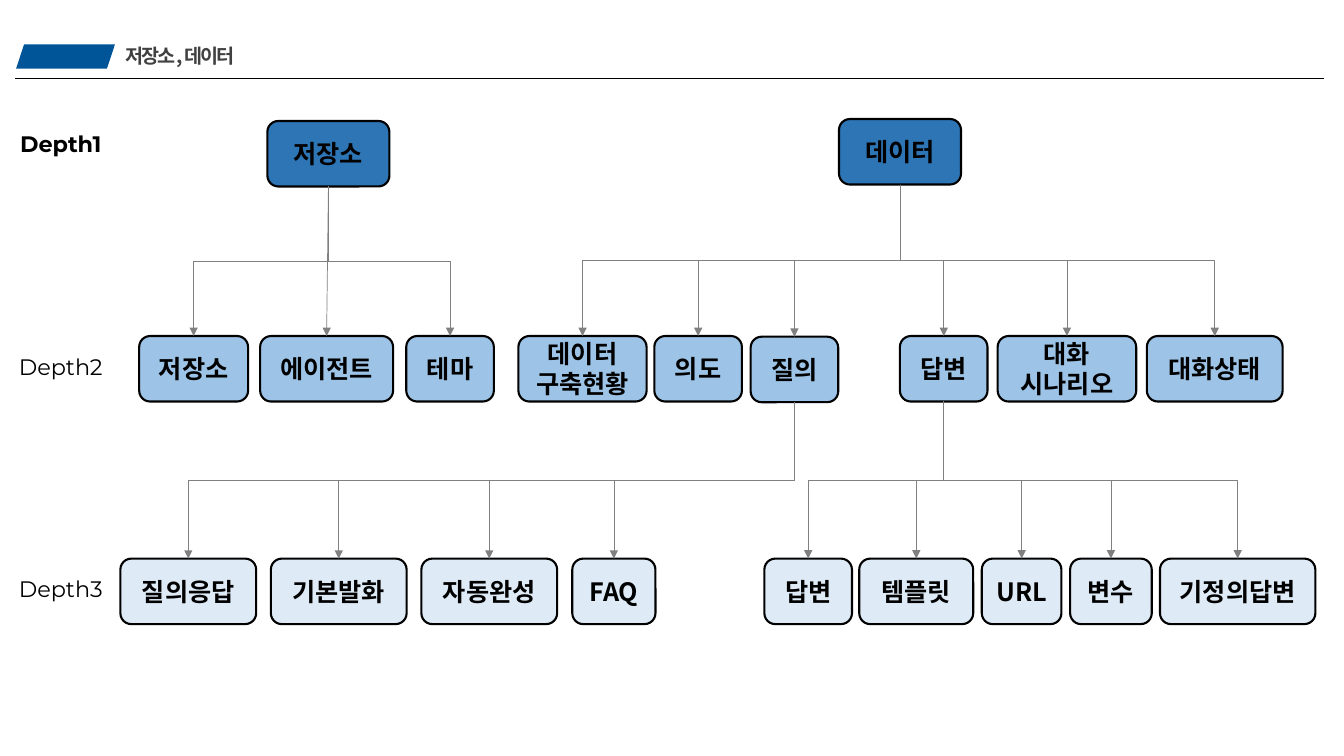
from dataclasses import dataclass

from lxml.etree import SubElement
from pptx import Presentation
from pptx.dml.color import RGBColor
from pptx.enum.shapes import MSO_CONNECTOR as Line, MSO_SHAPE as Preset
from pptx.enum.text import MSO_ANCHOR as Anchor, MSO_AUTO_SIZE as AutoSize, PP_ALIGN as Align
from pptx.oxml.ns import qn
from pptx.shapes.autoshape import Shape
from pptx.shapes.connector import Connector
from pptx.text.text import TextFrame
from pptx.util import Pt

BLACK = RGBColor(0x00, 0x00, 0x00)
GRAY = RGBColor(0x80, 0x80, 0x80)
TITLE_GRAY = RGBColor(0x40, 0x40, 0x40)
BANNER_BLUE = RGBColor(0x00, 0x54, 0x98)
DEPTH1_BLUE = RGBColor(0x2E, 0x75, 0xB6)
DEPTH2_BLUE = RGBColor(0x9D, 0xC3, 0xE6)
DEPTH3_BLUE = RGBColor(0xDE, 0xEB, 0xF7)
KOREAN = "Noto Sans CJK KR"
LATIN = "Montserrat"
NODE_HEIGHT = 46.8


@dataclass(frozen=True)
class Node:
    text: str
    left: float
    width: float
    top: float
    fill: RGBColor
    children: tuple["Node", ...] = ()


def depth2(text: str, left: float, width: float, *children: Node, top: float = 240) -> Node:
    return Node(text, left, width, top, DEPTH2_BLUE, children)


def depth3(text: str, left: float, width: float) -> Node:
    return Node(text, left, width, 399, DEPTH3_BLUE)


# The two menu trees
STORE = Node("저장소", 191, 87.2, 86.4, DEPTH1_BLUE, (
    depth2("저장소", 99.4, 77.8),
    depth2("에이전트", 185.8, 95),
    depth2("테마", 290.2, 62.6),
))
DATA = Node("데이터", 599.3, 87.2, 85, DEPTH1_BLUE, (
    depth2("데이터\n구축현황", 370.3, 91.6),
    depth2("의도", 467.4, 62.6),
    depth2("질의", 536.2, 62.6,
           depth3("질의응답", 86, 97),
           depth3("기본발화", 193.5, 97),
           depth3("자동완성", 301, 97),
           depth3("FAQ", 408.8, 59.4), top=240.5),
    depth2("답변", 642.8, 62.6,
           depth3("답변", 546, 62.6),
           depth3("템플릿", 613.8, 81.4),
           depth3("URL", 701.3, 56.9),
           depth3("변수", 764.4, 58.3),
           depth3("기정의답변", 828.6, 111)),
    depth2("대화\n시나리오", 712.6, 99),
    depth2("대화상태", 819.2, 97),
))

deck = Presentation()
deck.slide_width, deck.slide_height = Pt(960), Pt(540)
page = deck.slides.add_slide(deck.slide_layouts[6])


def write(frame: TextFrame, text: str, size: float, font: str, color: RGBColor,
          bold: bool, align: Align, spacing: int = 0) -> None:
    for index, words in enumerate(text.split("\n")):
        para = frame.add_paragraph() if index else frame.paragraphs[0]
        para.alignment = align
        span = para.add_run()
        span.text = words
        span.font.size, span.font.bold, span.font.name = Pt(size), bold, font
        span.font.color.rgb = color
        properties = span.font._element
        SubElement(properties, qn("a:ea")).set("typeface", font)
        if spacing:
            properties.set("spc", str(spacing))


def add_label(left: float, top: float, width: float, height: float) -> TextFrame:
    frame = page.shapes.add_textbox(Pt(left), Pt(top), Pt(width), Pt(height)).text_frame
    frame.word_wrap = False
    frame.auto_size = AutoSize.SHAPE_TO_FIT_TEXT
    return frame


def style_line(line: Connector, color: RGBColor) -> None:
    line.line.color.rgb = color
    line.line.width = Pt(0.5)
    SubElement(line._element.spPr, qn("a:effectLst"))


def link(parent: Shape, child: Shape) -> None:
    start_x, start_y = parent.left + parent.width // 2, parent.top + parent.height
    end_x, end_y = child.left + child.width // 2, child.top
    across, down = end_x - start_x, end_y - start_y
    straight = abs(across) < Pt(2)
    kind = Line.STRAIGHT if straight else Line.ELBOW
    arrow = page.shapes.add_connector(kind, start_x, start_y, end_x, end_y)
    arrow.begin_connect(parent, 2)
    arrow.end_connect(child, 0)
    if not straight:
        # Turn the elbow so that it leaves and arrives vertically
        frame = arrow._element.spPr.get_or_add_xfrm()
        frame.flipH, frame.flipV = across > 0, False
        frame.rot = 270 if across > 0 else 90
        arrow.width, arrow.height = down, abs(across)
        arrow.left = (start_x + end_x - down) // 2
        arrow.top = (start_y + end_y - abs(across)) // 2
    style_line(arrow, GRAY)
    SubElement(arrow.line._get_or_add_ln(), qn("a:tailEnd")).set("type", "triangle")


def draw_tree(node: Node) -> Shape:
    box = page.shapes.add_shape(Preset.ROUNDED_RECTANGLE, Pt(node.left), Pt(node.top),
                                Pt(node.width), Pt(NODE_HEIGHT))
    box.shadow.inherit = False
    box.fill.solid()
    box.fill.fore_color.rgb = node.fill
    box.line.color.rgb = BLACK
    box.line.width = Pt(1.5)
    box.text_frame.word_wrap = True
    box.text_frame.vertical_anchor = Anchor.MIDDLE
    write(box.text_frame, node.text, 18, KOREAN, BLACK, True, Align.CENTER)
    for child in node.children:
        link(box, draw_tree(child))
    return box


# Header
banner = page.shapes.add_shape(Preset.PARALLELOGRAM, Pt(11.5), Pt(31.7), Pt(70.6), Pt(17.3))
banner.adjustments[0] = 0.33
banner.shadow.inherit = False
banner.fill.solid()
banner.fill.fore_color.rgb = BANNER_BLUE
banner.line.fill.background()

title = add_label(90, 31.7, 81.4, 17.3)
title.margin_left = title.margin_right = title.margin_top = title.margin_bottom = 0
write(title, "저장소, 데이터", 14, KOREAN, TITLE_GRAY, True, Align.LEFT, spacing=-150)

rule = page.shapes.add_connector(Line.STRAIGHT, Pt(10.8), Pt(56.2), Pt(945.4), Pt(56.2))
style_line(rule, BLACK)

# Depth labels
for step in range(3):
    label = add_label(5, 89.3 + 159.1 * step, 77, 26.6)
    write(label, f"Depth{step + 1}", 16, LATIN, BLACK, step == 0, Align.CENTER)

# Trees
for root in (STORE, DATA):
    draw_tree(root)

deck.save("out.pptx")
